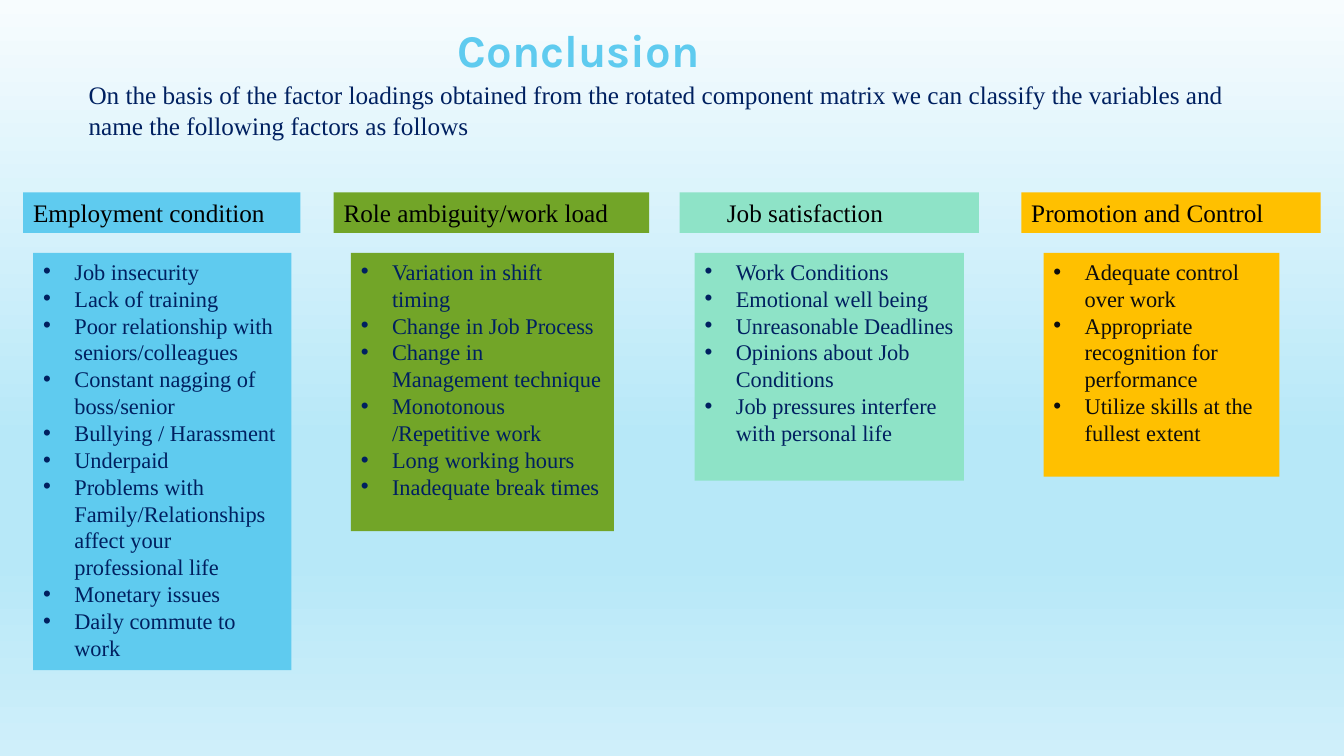
from dataclasses import dataclass

from lxml.etree import SubElement
from pptx import Presentation
from pptx.dml.color import RGBColor
from pptx.enum.shapes import MSO_SHAPE
from pptx.enum.text import MSO_ANCHOR, PP_ALIGN
from pptx.oxml.ns import qn
from pptx.util import Emu, Pt


@dataclass(frozen=True)
class Theme:
    """Fonts, type sizes in points and colours of the slide."""
    title_font: str = "Karla"
    body_font: str = "Times New Roman"
    title_size: float = 32.4
    heading_size: float = 18
    list_size: float = 16
    leading: float = 1.2
    sky: str = "5FCBEF"
    green: str = "72A528"
    mint: str = "8EE3C7"
    amber: str = "FFC000"
    navy: str = "002060"
    black: str = "000000"
    ink: str = "0D0D0D"
    backdrop: tuple = ((0, "F7FCFE"), (58, "B7E8F8"), (74, "B7E8F8"), (100, "CFEFFA"))


def px(n):
    """Turn px, 100 to the inch, into EMU."""
    return Emu(n * 9144)


class Deck:
    """Holds the theme and the current slide, and draws its elements."""

    def __init__(self, prs, theme):
        """Add a title-only slide to the presentation."""
        self.theme = theme
        self.s = prs.slides.add_slide(prs.slide_layouts[5])

    def background(self):
        """Fill the slide with the vertical gradient."""
        fill = self.s.background.fill
        fill.gradient()
        fill.gradient_angle = 270
        stops = self.s.element.find(".//" + qn("a:gsLst"))
        stops.clear()
        for pos, color in self.theme.backdrop:
            gs = SubElement(stops, qn("a:gs"), pos=str(pos * 1000))
            SubElement(gs, qn("a:srgbClr"), val=color)

    def run(self, p, text, size, color, font=None, bold=False):
        """Append one formatted run to a paragraph."""
        r = p.add_run()
        r.text = text
        r.font.name = font or self.theme.body_font
        r.font.size = Pt(size)
        r.font.bold = bold
        r.font.color.rgb = RGBColor.from_string(color)

    def paragraph(self, p, text, size, color):
        """Format a left-aligned paragraph of body text."""
        p.alignment = PP_ALIGN.LEFT
        p.line_spacing = Pt(size * self.theme.leading)
        self.run(p, text, size, color)

    def title(self, text, x, y, w, h, inset):
        """Place and fill the title placeholder."""
        sp = self.s.shapes.title
        sp.left, sp.top, sp.width, sp.height = map(px, (x, y, w, h))
        tf = sp.text_frame
        tf.vertical_anchor = MSO_ANCHOR.MIDDLE
        tf.margin_left = px(inset)
        p = tf.paragraphs[0]
        p.alignment = PP_ALIGN.LEFT
        t = self.theme
        self.run(p, text, t.title_size, t.sky, t.title_font, True)

    def text(self, text, x, y, w, h):
        """Add a wrapped text box."""
        tf = self.s.shapes.add_textbox(*map(px, (x, y, w, h))).text_frame
        tf.word_wrap = True
        self.paragraph(tf.paragraphs[0], text, self.theme.heading_size, self.theme.navy)

    def panel(self, x, y, w, h, fill):
        """Add a plain filled rectangle and return its text frame."""
        sp = self.s.shapes.add_shape(MSO_SHAPE.RECTANGLE, *map(px, (x, y, w, h)))
        sp.shadow.inherit = False
        sp.fill.solid()
        sp.fill.fore_color.rgb = RGBColor.from_string(fill)
        sp.line.fill.background()
        tf = sp.text_frame
        tf.word_wrap = True
        tf.vertical_anchor = MSO_ANCHOR.TOP
        return tf

    def heading(self, text, x, y, w, h, fill, inset):
        """Add a factor name on its coloured bar."""
        tf = self.panel(x, y, w, h, fill)
        tf.margin_left = px(inset)
        self.paragraph(tf.paragraphs[0], text, self.theme.heading_size, self.theme.black)

    def bullets(self, items, x, y, w, h, fill, color):
        """Add a bulleted list on its coloured panel."""
        tf = self.panel(x, y, w, h, fill)
        for i, item in enumerate(items):
            p = tf.add_paragraph() if i else tf.paragraphs[0]
            self.paragraph(p, item, self.theme.list_size, color)
            pPr = p._p.get_or_add_pPr()
            pPr.set("marL", str(px(31)))
            pPr.set("indent", str(-px(31)))
            SubElement(pPr, qn("a:buFont"), typeface="Arial")
            SubElement(pPr, qn("a:buChar"), char="•")


def main():
    """Build the conclusion slide."""
    prs = Presentation()
    prs.slide_width, prs.slide_height = px(1333), px(750)
    t = Theme()
    deck = Deck(prs, t)
    deck.background()
    deck.title("Conclusion", 84, 14, 940, 69, 370)
    deck.text("On the basis of the factor loadings obtained from the rotated component matrix "
              "we can classify the variables and name the following factors as follows",
              78, 74, 1175, 101)

    factors = [
        ("Employment condition", 23, 275, 10, 33, 256, 414, t.sky, t.navy,
         ["Job insecurity", "Lack of training", "Poor relationship with seniors/colleagues",
          "Constant nagging of boss/senior", "Bullying / Harassment", "Underpaid",
          "Problems with Family/Relationships affect your professional life",
          "Monetary issues", "Daily commute to work"]),
        ("Role ambiguity/work load", 331, 313, 10, 348, 261, 276, t.green, t.navy,
         ["Variation in shift timing", "Change in Job Process",
          "Change in Management technique", "Monotonous /Repetitive work",
          "Long working hours", "Inadequate break times"]),
        ("Job satisfaction", 674, 297, 47, 689, 267, 226, t.mint, t.navy,
         ["Work Conditions", "Emotional well being", "Unreasonable Deadlines",
          "Opinions about Job Conditions", "Job pressures interfere with personal life"]),
        ("Promotion and Control", 1013, 297, 10, 1035, 234, 222, t.amber, t.ink,
         ["Adequate control over work", "Appropriate recognition for performance",
          "Utilize skills at the fullest extent"]),
    ]
    for name, head_x, head_w, inset, list_x, list_w, list_h, fill, color, items in factors:
        deck.heading(name, head_x, 191, head_w, 40, fill, inset)
        deck.bullets(items, list_x, 251, list_w, list_h, fill, color)

    prs.save("out.pptx")


if __name__ == "__main__":
    main()
